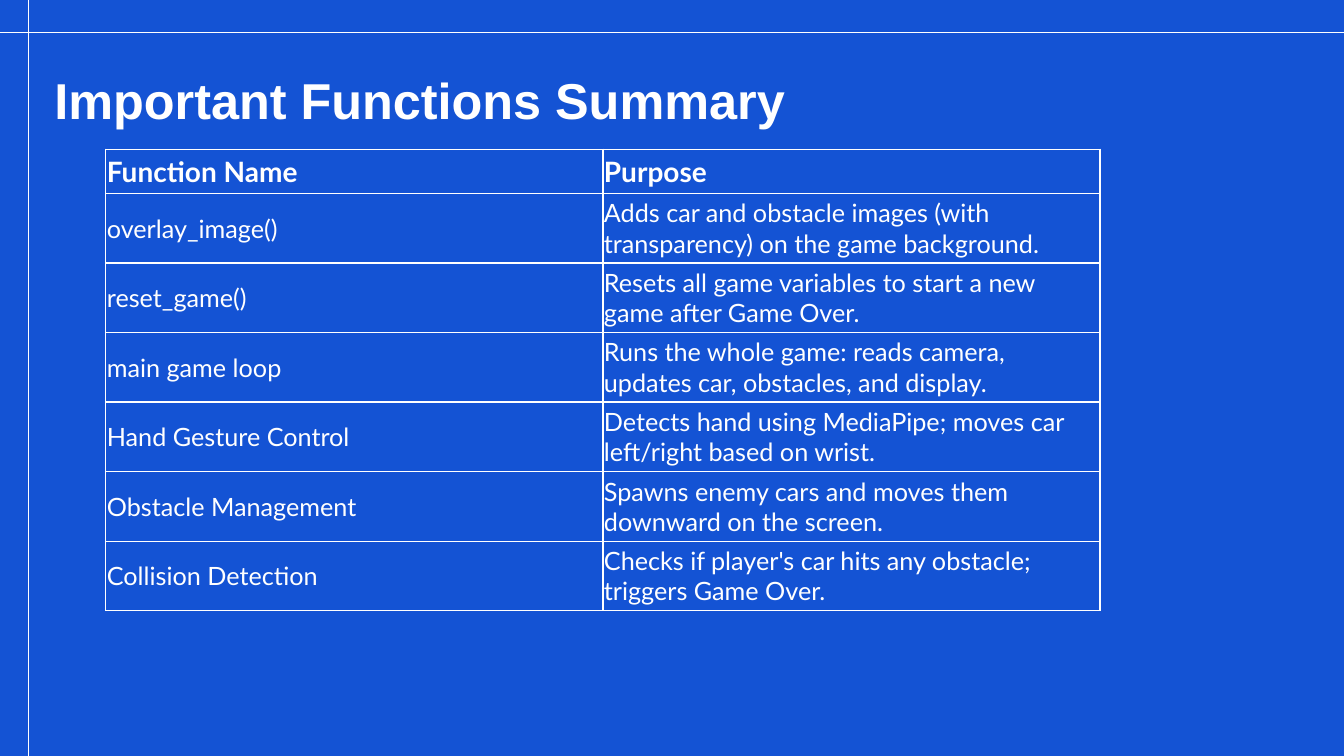
"""Build the slide that summarises the important functions of a hand-controlled car game."""
from dataclasses import dataclass

from lxml.etree import SubElement
from pptx import Presentation
from pptx.dml.color import RGBColor
from pptx.enum.shapes import MSO_CONNECTOR
from pptx.enum.text import MSO_ANCHOR
from pptx.oxml.ns import qn
from pptx.util import Inches, Pt

TITLE = "Important Functions Summary"
HEADER = ("Function Name", "Purpose")
FUNCTIONS = [
    ("overlay_image()", "Adds car and obstacle images (with transparency) on the game background."),
    ("reset_game()", "Resets all game variables to start a new game after Game Over."),
    ("main game loop", "Runs the whole game: reads camera, updates car, obstacles, and display."),
    ("Hand Gesture Control", "Detects hand using MediaPipe; moves car left/right based on wrist."),
    ("Obstacle Management", "Spawns enemy cars and moves them downward on the screen."),
    ("Collision Detection", "Checks if player's car hits any obstacle; triggers Game Over."),
]


@dataclass(frozen=True)
class Theme:
    background: str = "1453D4"
    ink: str = "FFFFFF"
    title_font: str = "Arial"
    table_font: str = "Lato"
    title_size: int = 36
    header_size: int = 20
    body_size: int = 18
    rule_width: float = 0.5
    border_width: int = 1


THEME = Theme()
INK = RGBColor.from_string(THEME.ink)
WIDTH, HEIGHT = 13.33, 7.5
RULE_TOP, RULE_LEFT = 0.32, 0.28
TITLE_BOX = (0.54, 0.08, 11.66, 1.21)
TABLE_LEFT, TABLE_TOP = 1.05, 1.48
COLUMN_WIDTH, HEADER_HEIGHT, ROW_HEIGHT = 4.93, 0.44, 0.69
CELL_INSET = 0.01


def add_rule(slide, *ends):
    rule = slide.shapes.add_connector(MSO_CONNECTOR.STRAIGHT, *map(Inches, ends))
    rule.line.color.rgb = INK
    rule.line.width = Pt(THEME.rule_width)
    SubElement(rule._element.spPr, qn("a:effectLst"))


def write(text_frame, text, font, size, bold):
    run = text_frame.paragraphs[0].add_run()
    run.text = text
    run.font.name = font
    run.font.size = Pt(size)
    run.font.bold = bold
    run.font.color.rgb = INK


def add_title(slide):
    frame = slide.shapes.add_textbox(*map(Inches, TITLE_BOX)).text_frame
    frame.word_wrap = True
    frame.vertical_anchor = MSO_ANCHOR.BOTTOM
    frame.margin_left = frame.margin_right = frame.margin_top = frame.margin_bottom = 0
    write(frame, TITLE, THEME.title_font, THEME.title_size, True)


def draw_borders(cell):
    properties = cell._tc.get_or_add_tcPr()
    for index, side in enumerate(("a:lnL", "a:lnR", "a:lnT", "a:lnB")):
        border = properties.makeelement(qn(side), {"w": str(Pt(THEME.border_width))})
        fill = SubElement(border, qn("a:solidFill"))
        SubElement(fill, qn("a:srgbClr"), val=THEME.ink)
        properties.insert(index, border)


def add_functions(slide):
    rows = [HEADER, *FUNCTIONS]
    heights = [HEADER_HEIGHT] + [ROW_HEIGHT] * len(FUNCTIONS)
    columns = len(HEADER)
    table = slide.shapes.add_table(
        len(rows), columns, Inches(TABLE_LEFT), Inches(TABLE_TOP),
        Inches(COLUMN_WIDTH * columns), Inches(sum(heights))).table
    table.first_row = table.horz_banding = False
    for column in table.columns:
        column.width = Inches(COLUMN_WIDTH)
    for row_index, (texts, height) in enumerate(zip(rows, heights)):
        table.rows[row_index].height = Inches(height)
        is_header = row_index == 0
        size = THEME.header_size if is_header else THEME.body_size
        for column_index, text in enumerate(texts):
            cell = table.cell(row_index, column_index)
            cell.fill.background()
            cell.vertical_anchor = MSO_ANCHOR.MIDDLE
            cell.margin_left = cell.margin_right = Inches(CELL_INSET)
            cell.margin_top = cell.margin_bottom = 0
            draw_borders(cell)
            write(cell.text_frame, text, THEME.table_font, size, is_header)


def main():
    deck = Presentation()
    deck.slide_width, deck.slide_height = Inches(WIDTH), Inches(HEIGHT)
    slide = deck.slides.add_slide(deck.slide_layouts[6])
    slide.background.fill.solid()
    slide.background.fill.fore_color.rgb = RGBColor.from_string(THEME.background)
    add_rule(slide, 0, RULE_TOP, WIDTH, RULE_TOP)
    add_rule(slide, RULE_LEFT, 0, RULE_LEFT, HEIGHT)
    add_title(slide)
    add_functions(slide)
    deck.save("out.pptx")


if __name__ == "__main__":
    main()
